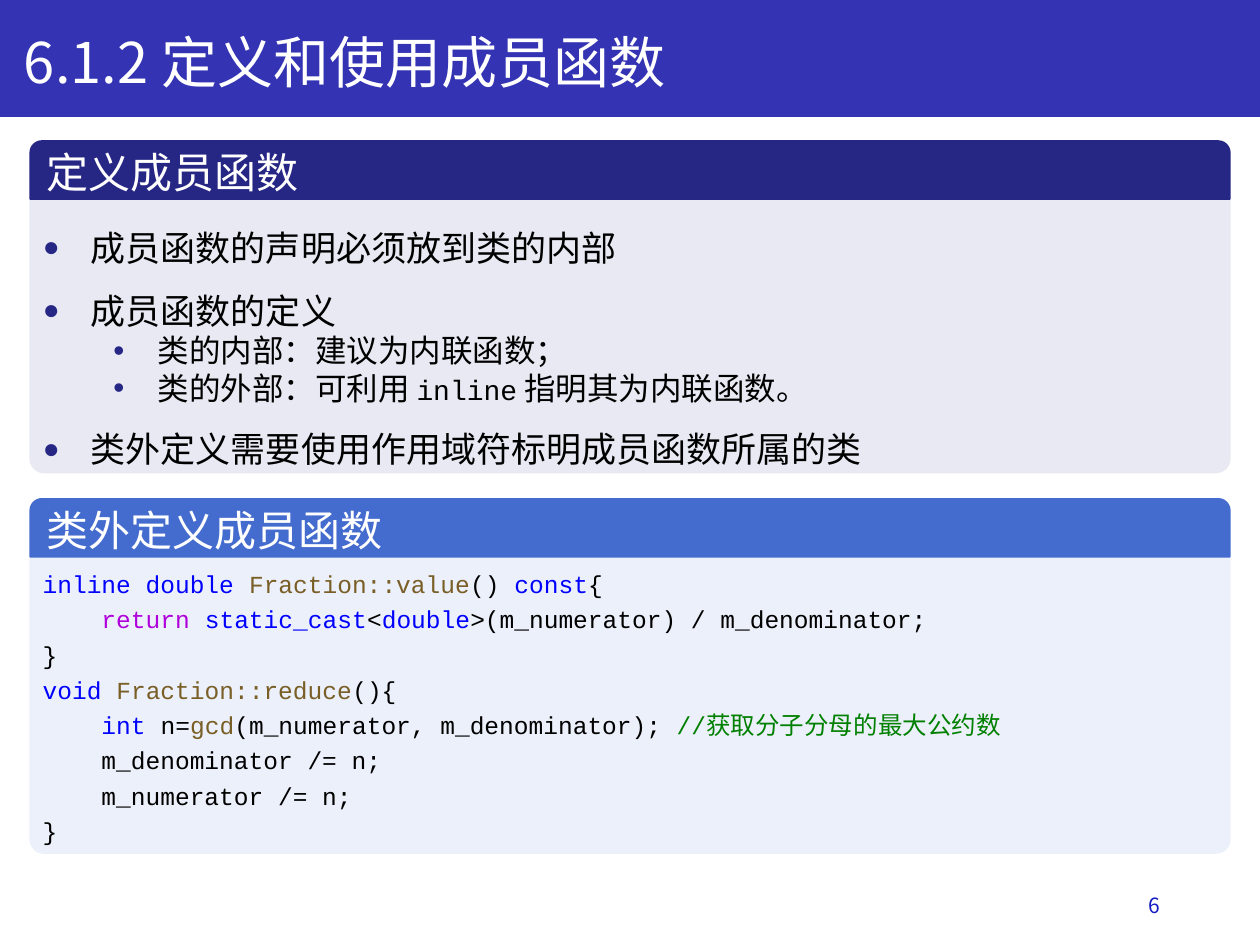
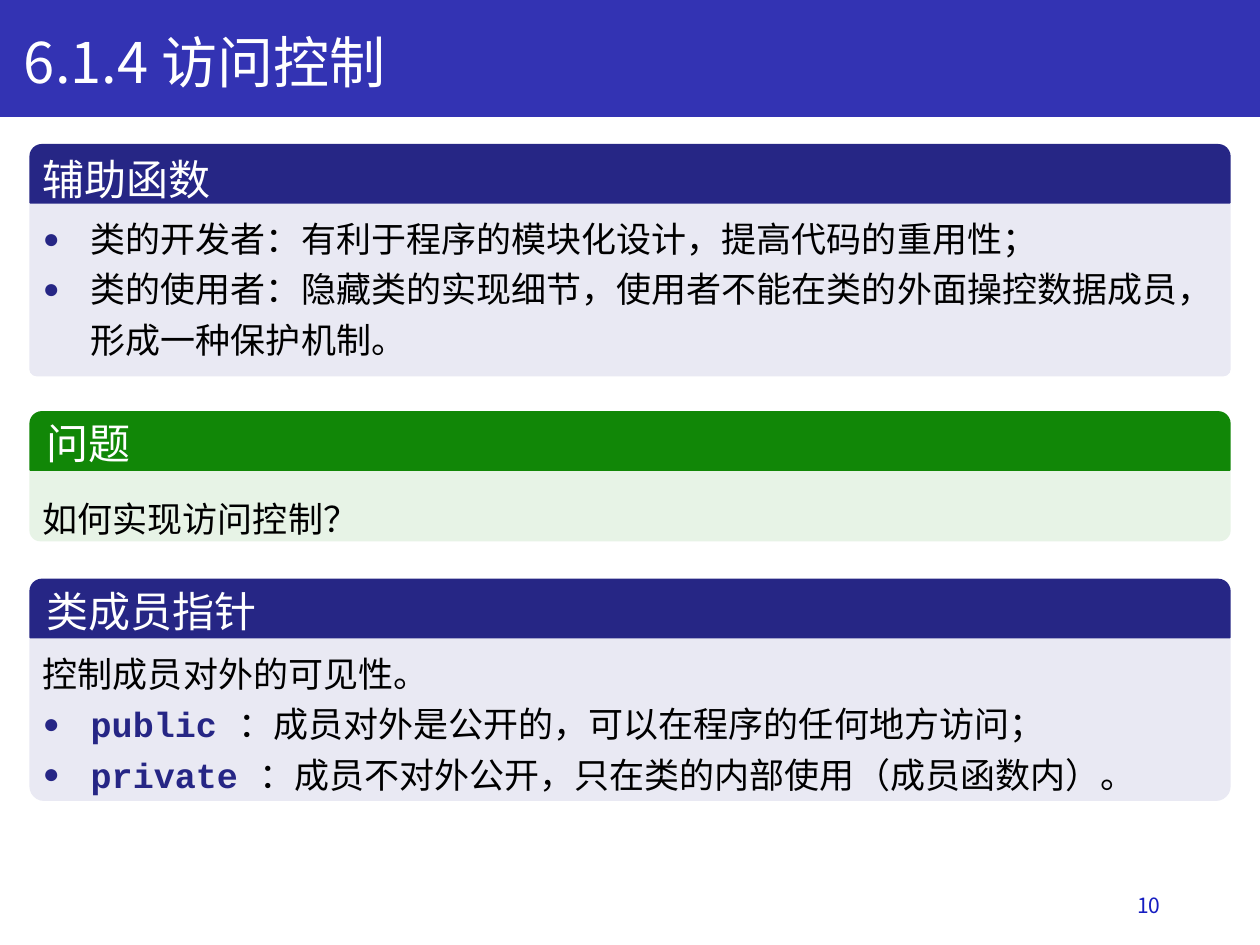
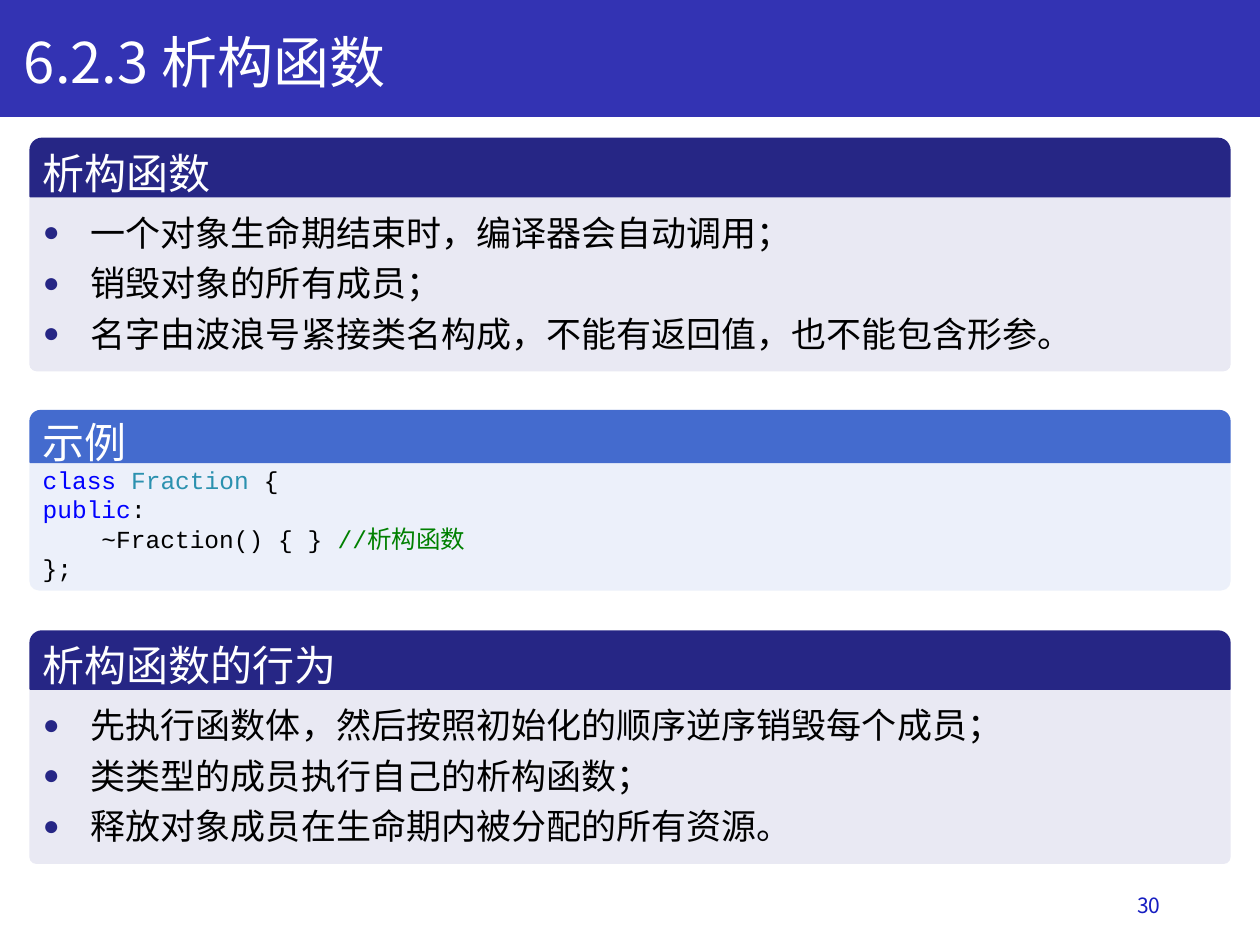
from dataclasses import dataclass

from lxml.etree import SubElement
from pptx import Presentation
from pptx.dml.color import RGBColor
from pptx.enum.shapes import MSO_SHAPE
from pptx.enum.text import MSO_ANCHOR, MSO_AUTO_SIZE, PP_ALIGN
from pptx.oxml.ns import qn
from pptx.util import Inches, Pt

SLIDE_WIDTH, SLIDE_HEIGHT = Inches(10), Inches(7.5)
COLUMN, ROW = SLIDE_WIDTH / 100, SLIDE_HEIGHT / 75
PANEL_LEFT, PANEL_WIDTH = 2.4, 95.2
HEADER_RADIUS = 0.2
LAYOUT_BY_LIST_COUNT = {1: 1, 2: 3}


@dataclass(frozen=True)
class Theme:
    font: str = "Noto Sans CJK SC"
    code_font: str = "Courier New"
    title_size: int = 32
    header_size: int = 24
    list_size: int = 20
    sub_size: int = 18
    inline_code_size: int = 16
    code_size: int = 14
    number_size: int = 12
    band: str = "3333B3"
    number: str = "151DC1"
    white: str = "FFFFFF"
    ink: str = "000000"
    accent: str = "262685"
    keyword: str = "0000FF"
    control: str = "AF00DB"
    function: str = "795E26"
    class_name: str = "2B91AF"
    comment: str = "008000"
    navy: tuple = ("262685", "E9E9F3")
    blue: tuple = ("446BCE", "ECF0FA")
    green: tuple = ("118707", "E7F3E6")


THEME = Theme()


@dataclass(frozen=True)
class Run:
    text: str
    color: str = THEME.ink
    size: int = THEME.list_size
    font: str = THEME.font
    bold: bool = False


@dataclass(frozen=True)
class Bullet:
    character: str
    margin: float
    hanging: float
    percent: int


MAIN_BULLET = Bullet("●", 3.8, 3.8, 80)
SUB_BULLET = Bullet("•", 9.1, 3.5, 100)


@dataclass(frozen=True)
class Line:
    runs: tuple
    bullet: Bullet = None
    spacing: float = 1.2


@dataclass(frozen=True)
class Panel:
    """A headed box; top and heights are rows of the slide grid."""
    title: str
    colors: tuple
    top: float
    body_height: float
    lines: list
    header_height: float = 4.6
    radius: float = 1.1
    low_title: bool = False
    text_lift: float = 0

    @property
    def is_list(self):
        return any(line.bullet for line in self.lines)


def item(text, spacing=1.2):
    return Line((Run(text),), MAIN_BULLET, spacing)


def sub_item(*runs):
    return Line(runs, SUB_BULLET, 1.0)


def sub_text(text):
    return Run(text, size=THEME.sub_size)


def keyword_item(keyword, text):
    label = Run(keyword + " ", THEME.accent, font=THEME.code_font, bold=True)
    return Line((label, Run(text)), MAIN_BULLET)


def code(*tokens, spacing=1.2):
    """A line of code; each token is plain text or a (text, colour) pair."""
    pairs = [(token, THEME.ink) if isinstance(token, str) else token for token in tokens]
    return Line(tuple(Run(text, color, THEME.code_size, THEME.code_font)
                      for text, color in pairs), None, spacing)


def place(shape, left, top, width, height):
    shape.left, shape.width = round(left * COLUMN), round(width * COLUMN)
    shape.top, shape.height = round(top * ROW), round(height * ROW)


def add_block(slide, preset, box, color):
    shape = slide.shapes.add_shape(preset, 0, 0, 0, 0)
    place(shape, *box)
    shape.shadow.inherit = False
    shape.fill.solid()
    shape.fill.fore_color.rgb = RGBColor.from_string(color)
    shape.line.color.rgb = RGBColor.from_string(color)
    shape.line.width = Pt(1)
    return shape


def add_run(paragraph, run_data):
    run = paragraph.add_run()
    run.text = run_data.text
    font = run.font
    font.size, font.bold, font.name = Pt(run_data.size), run_data.bold, run_data.font
    font.color.rgb = RGBColor.from_string(run_data.color)
    SubElement(font._element, qn("a:ea")).set("typeface", THEME.font)


def set_bullet(paragraph, bullet):
    properties = paragraph._p.get_or_add_pPr()
    if bullet is None:
        properties.set("marL", "0")
        properties.set("indent", "0")
        SubElement(properties, qn("a:buNone"))
        return
    properties.set("marL", str(round(bullet.margin * COLUMN)))
    properties.set("indent", str(round(-bullet.hanging * COLUMN)))
    color = SubElement(properties, qn("a:buClr"))
    SubElement(color, qn("a:srgbClr")).set("val", THEME.accent)
    SubElement(properties, qn("a:buSzPct")).set("val", str(bullet.percent * 1000))
    SubElement(properties, qn("a:buChar")).set("char", bullet.character)


def write_lines(shape, lines, anchor=MSO_ANCHOR.TOP, alignment=PP_ALIGN.LEFT):
    frame = shape.text_frame
    frame.word_wrap = True
    frame.auto_size = MSO_AUTO_SIZE.NONE
    frame.vertical_anchor = anchor
    for index, line in enumerate(lines):
        paragraph = frame.add_paragraph() if index else frame.paragraphs[0]
        set_bullet(paragraph, line.bullet)
        paragraph.alignment = alignment
        paragraph.line_spacing = line.spacing
        paragraph.space_before = Pt(0)
        for run_data in line.runs:
            add_run(paragraph, run_data)


def write_label(shape, text, size, color, anchor, alignment=PP_ALIGN.LEFT):
    write_lines(shape, [Line((Run(text, color, size),), spacing=1.0)], anchor, alignment)


def add_panel(slide, panel, list_placeholders):
    body_top = panel.top + panel.header_height
    body_box = (PANEL_LEFT, body_top, PANEL_WIDTH, panel.body_height)
    body = add_block(slide, MSO_SHAPE.ROUND_2_SAME_RECTANGLE, body_box, panel.colors[1])
    body.adjustments[0] = 0
    body.adjustments[1] = panel.radius / panel.body_height

    header_box = (PANEL_LEFT, panel.top, PANEL_WIDTH, panel.header_height)
    header = add_block(slide, MSO_SHAPE.ROUND_2_SAME_RECTANGLE, header_box, panel.colors[0])
    header.adjustments[0] = HEADER_RADIUS
    write_label(header, panel.title, THEME.header_size, THEME.white, MSO_ANCHOR.MIDDLE)
    if panel.low_title:
        header.text_frame.margin_left = round(0.7 * COLUMN)
        header.text_frame.margin_top = round(ROW)

    if panel.is_list:
        text_shape = list_placeholders.pop(0)
        slide.shapes._spTree.append(text_shape._element)
    else:
        text_shape = slide.shapes.add_textbox(0, 0, 0, 0)
    place(text_shape, PANEL_LEFT, body_top - panel.text_lift, PANEL_WIDTH, panel.body_height)
    write_lines(text_shape, panel.lines)


def add_slide(presentation, title, number, panels):
    list_count = sum(panel.is_list for panel in panels)
    layout = presentation.slide_layouts[LAYOUT_BY_LIST_COUNT[list_count]]
    slide = presentation.slides.add_slide(layout)
    list_placeholders = list(slide.placeholders)[1:]

    place(slide.shapes.title, 0.9, 1.7, 96.7, 6.4)
    write_label(slide.shapes.title, title, THEME.title_size, THEME.white, MSO_ANCHOR.TOP)
    for panel in panels:
        add_panel(slide, panel, list_placeholders)

    number_box = slide.shapes.add_textbox(0, 0, 0, 0)
    place(number_box, 70.6, 69.8, 22.5, 4)
    write_label(number_box, str(number), THEME.number_size, THEME.number,
                MSO_ANCHOR.MIDDLE, PP_ALIGN.RIGHT)
    return slide


def move_band_to_master(presentation, slide):
    """Draw the title band once, behind everything on the slide master."""
    band = add_block(slide, MSO_SHAPE.RECTANGLE, (0, 0, 100, 9.2), THEME.band)
    band._element.nvSpPr.cNvPr.set("id", "50")
    presentation.slide_master.shapes._spTree.insert(2, band._element)


def member_function_panels():
    keyword, function = THEME.keyword, THEME.function
    inline = Run("inline", size=THEME.inline_code_size, font=THEME.code_font)
    return [
        Panel("定义成员函数", THEME.navy, 11.2, 21.7, [
            item("成员函数的声明必须放到类的内部", 1.5),
            item("成员函数的定义", 1.5),
            sub_item(sub_text("类的内部：建议为内联函数；")),
            sub_item(sub_text("类的外部：可利用 "), inline, sub_text(" 指明其为内联函数。")),
            item("类外定义需要使用作用域符标明成员函数所属的类", 1.5),
        ]),
        Panel("类外定义成员函数", THEME.blue, 39.6, 23.5, [
            code(("inline double ", keyword), ("Fraction::value", function), "() ",
                 ("const", keyword), "{"),
            code(("    return ", THEME.control), ("static_cast", keyword), "<",
                 ("double", keyword), ">(m_numerator) / m_denominator;"),
            code("}"),
            code(("void ", keyword), ("Fraction::reduce", function), "(){"),
            code(("    int", keyword), " n=", ("gcd", function),
                 "(m_numerator, m_denominator); ",
                 ("//获取分子分母的最大公约数", THEME.comment)),
            code("    m_denominator /= n;"),
            code("    m_numerator /= n;"),
            code("}"),
        ]),
    ]


def access_control_panels():
    return [
        Panel("辅助函数", THEME.navy, 11.5, 13.7, [
            item("类的开发者：有利于程序的模块化设计，提高代码的重用性；"),
            item("类的使用者：隐藏类的实现细节，使用者不能在类的外面操控数据成员，形成一种保护机制。"),
        ], radius=0.5, low_title=True),
        Panel("问题", THEME.green, 32.7, 5.6, [
            Line((Run("如何实现访问控制？"),), spacing=1.5),
        ], radius=0.8),
        Panel("类成员指针", THEME.navy, 46, 12.9, [
            Line((Run("控制成员对外的可见性。"),)),
            keyword_item("public", "：成员对外是公开的，可以在程序的任何地方访问；"),
            keyword_item("private", "：成员不对外公开，只在类的内部使用（成员函数内）。"),
        ]),
    ]


def destructor_panels():
    keyword = THEME.keyword
    return [
        Panel("析构函数", THEME.navy, 11, 13.8, [
            item("一个对象生命期结束时，编译器会自动调用；"),
            item("销毁对象的所有成员；"),
            item("名字由波浪号紧接类名构成，不能有返回值，也不能包含形参。"),
        ], radius=0.5, low_title=True),
        Panel("示例", THEME.blue, 32.6, 10.1, [
            code(("class ", keyword), ("Fraction", THEME.class_name), " {", spacing=1.0),
            code(("public", keyword), ":", spacing=1.0),
            code("    ~Fraction() { } ", ("//析构函数", THEME.comment), spacing=1.0),
            code("};", spacing=1.0),
        ], header_height=4.1, radius=0.7, low_title=True, text_lift=0.3),
        Panel("析构函数的行为", THEME.navy, 50.1, 13.8, [
            item("先执行函数体，然后按照初始化的顺序逆序销毁每个成员；"),
            item("类类型的成员执行自己的析构函数；"),
            item("释放对象成员在生命期内被分配的所有资源。"),
        ], radius=0.5, low_title=True),
    ]


def main():
    presentation = Presentation()
    presentation.slide_width, presentation.slide_height = SLIDE_WIDTH, SLIDE_HEIGHT
    first_slide = add_slide(presentation, "6.1.2 定义和使用成员函数", 6, member_function_panels())
    move_band_to_master(presentation, first_slide)
    add_slide(presentation, "6.1.4 访问控制", 10, access_control_panels())
    add_slide(presentation, "6.2.3 析构函数", 30, destructor_panels())
    presentation.save("out.pptx")


if __name__ == "__main__":
    main()
